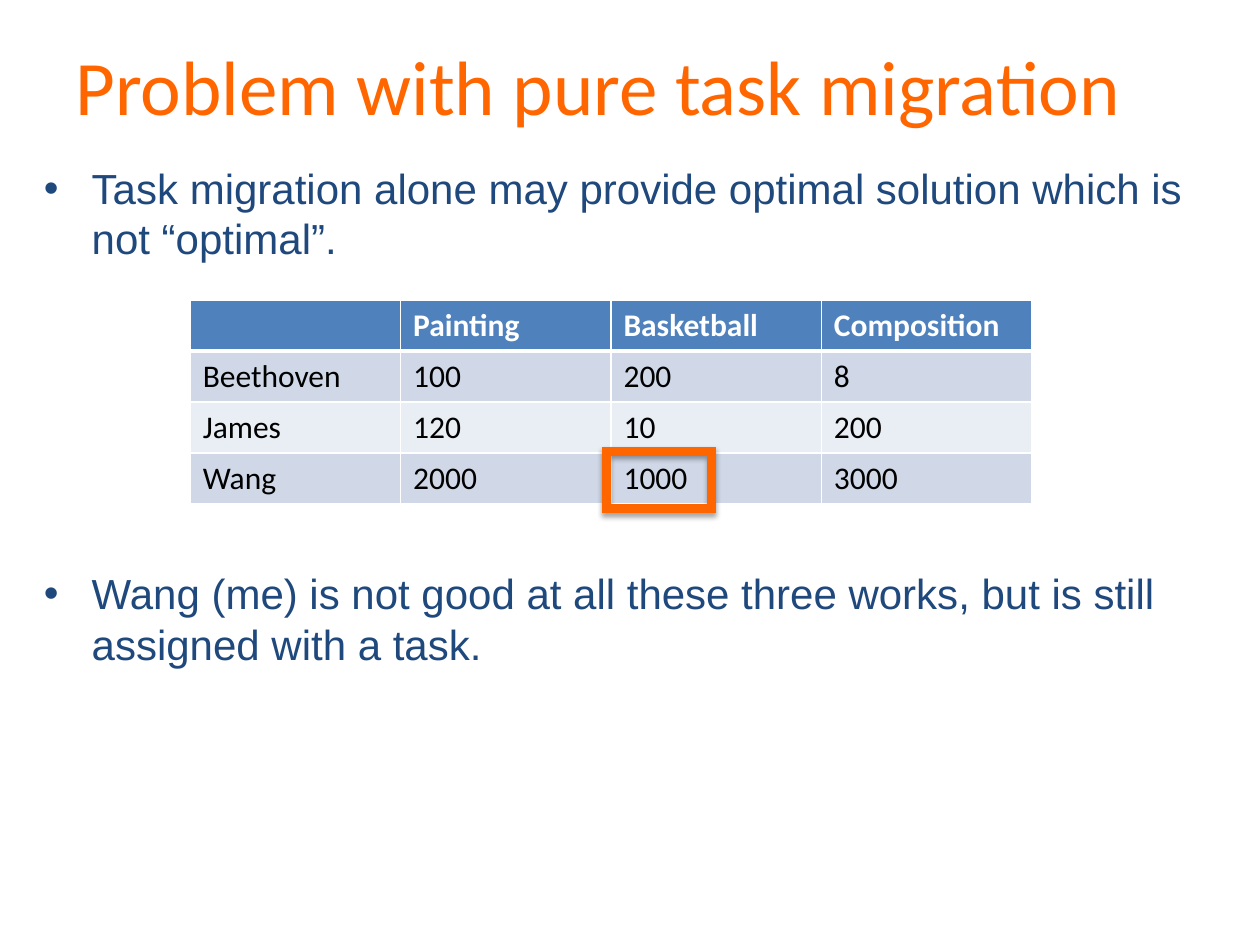
"""Build a slide on the limits of pure task migration, with a cost table."""
from dataclasses import dataclass

from lxml.etree import SubElement
from pptx import Presentation
from pptx.dml.color import RGBColor
from pptx.enum.shapes import MSO_SHAPE as Preset
from pptx.enum.text import MSO_ANCHOR as Anchor
from pptx.oxml import parse_xml
from pptx.oxml.ns import nsdecls, qn
from pptx.util import Emu, Inches, Pt

COLOURS = {
    "accent": "FF6600",
    "body": "1F497D",
    "header": "4F81BD",
    "band": "D0D8E8",
    "light": "E9EDF4",
    "white": "FFFFFF",
    "black": "000000",
}
WIDTH, HEIGHT = Inches(10), Inches(7.5)
INDENT = Inches(0.38)
COLUMN, ROW = Inches(1.67), Inches(0.405)
COSTS = (
    ("", "Painting", "Basketball", "Composition"),
    ("Beethoven", "100", "200", "8"),
    ("James", "120", "10", "200"),
    ("Wang", "2000", "1000", "3000"),
)


@dataclass(frozen=True)
class Area:
    """A place given as shares of the slide's width and height."""
    left: float
    top: float
    width: float
    height: float

    def lengths(self) -> tuple:
        """Return left, top, width and height as slide lengths."""
        return (Emu(int(self.left * WIDTH)), Emu(int(self.top * HEIGHT)),
                Emu(int(self.width * WIDTH)), Emu(int(self.height * HEIGHT)))


@dataclass(frozen=True)
class Style:
    """The look of a run of text."""
    font: str
    size: float
    colour: str
    bold: bool = False


@dataclass(frozen=True)
class Bullet:
    """A bulleted paragraph and the gap above it in points."""
    text: str
    gap: float


TITLE = Style("Calibri", 44, "accent")
BODY = Style("Arial", 24, "body")
HEADING = Style("Calibri", 18, "white", True)
VALUE = Style("Calibri", 18, "black")
BULLETS = (
    Bullet("Task migration alone may provide optimal solution which is not “optimal”.", 0),
    Bullet("Wang (me) is not good at all these three works, but is still assigned with a task.", 174),
)


def colour(name: str) -> RGBColor:
    """Look up a named colour."""
    return RGBColor.from_string(COLOURS[name])


def format_runs(para, style: Style) -> None:
    """Apply a style to every run of a paragraph."""
    for span in para.runs:
        span.font.name = style.font
        span.font.size = Pt(style.size)
        span.font.bold = style.bold
        span.font.color.rgb = colour(style.colour)


def add_box(page, area: Area):
    """Add a wrapping text box and return its text frame."""
    frame = page.shapes.add_textbox(*area.lengths()).text_frame
    frame.word_wrap = True
    return frame


def add_title(page, text: str, area: Area) -> None:
    """Add the slide's title."""
    frame = add_box(page, area)
    frame.vertical_anchor = Anchor.MIDDLE
    frame.text = text
    format_runs(frame.paragraphs[0], TITLE)


def add_bullets(page, bullets: tuple, area: Area) -> None:
    """Add bulleted paragraphs with hanging indents."""
    frame = add_box(page, area)
    for index, bullet in enumerate(bullets):
        para = frame.add_paragraph() if index else frame.paragraphs[0]
        para.text = bullet.text
        para.space_before = Pt(bullet.gap)
        format_runs(para, BODY)
        properties = para._p.get_or_add_pPr()
        properties.set("marL", str(INDENT))
        properties.set("indent", str(-INDENT))
        SubElement(properties, qn("a:buFont"), typeface="Arial")
        SubElement(properties, qn("a:buChar"), char="•")


def add_borders(cell, top: float, bottom: float) -> None:
    """Draw white borders, with the top and bottom widths in points."""
    edges = (("L", 1), ("R", 1), ("T", top), ("B", bottom))
    for index, (edge, points) in enumerate(edges):
        line = parse_xml(
            f'<a:ln{edge} {nsdecls("a")} w="{Pt(points)}"><a:solidFill>'
            f'<a:srgbClr val="{COLOURS["white"]}"/></a:solidFill></a:ln{edge}>')
        cell._tc.get_or_add_tcPr().insert(index, line)


def add_costs(page, left: float, top: float) -> None:
    """Add the cost table at a share of the slide's size."""
    rows, columns = len(COSTS), len(COSTS[0])
    table = page.shapes.add_table(
        rows, columns, Emu(int(left * WIDTH)), Emu(int(top * HEIGHT)),
        columns * COLUMN, rows * ROW).table
    for row, values in enumerate(COSTS):
        fill = "header" if row == 0 else "band" if row % 2 else "light"
        for column, value in enumerate(values):
            cell = table.cell(row, column)
            cell.text = value
            cell.fill.solid()
            cell.fill.fore_color.rgb = colour(fill)
            format_runs(cell.text_frame.paragraphs[0], VALUE if row else HEADING)
            add_borders(cell, 3 if row == 1 else 1, 1 if row else 3)


def add_highlight(page, area: Area) -> None:
    """Frame a table cell with a softly shadowed outline."""
    shape = page.shapes.add_shape(Preset.FRAME, *area.lengths())
    shape.fill.solid()
    shape.fill.fore_color.rgb = colour("accent")
    shape.line.color.rgb = colour("accent")
    shape.line.width = Pt(0.75)
    shape.shadow.inherit = False
    effects = shape._element.spPr.find(qn("a:effectLst"))
    shadow = SubElement(effects, qn("a:outerShdw"), blurRad=str(Pt(3.1)),
                        dist=str(Pt(1.8)), dir="5400000", rotWithShape="0")
    tint = SubElement(shadow, qn("a:srgbClr"), val=COLOURS["black"])
    SubElement(tint, qn("a:alpha"), val="35000")


def main() -> None:
    """Build and save the deck."""
    deck = Presentation()
    deck.slide_width, deck.slide_height = WIDTH, HEIGHT
    page = deck.slides.add_slide(deck.slide_layouts[6])
    add_title(page, "Problem with pure task migration", Area(0.05, 0.05 / 7.5, 0.9, 1.25 / 7.5))
    add_bullets(page, BULLETS, Area(0.025, 1.24 / 7.5, 0.956, 5.43 / 7.5))
    add_costs(page, 0.151, 2.38 / 7.5)
    add_highlight(page, Area(0.478, 3.55 / 7.5, 0.09, 0.52 / 7.5))
    deck.save("out.pptx")


if __name__ == "__main__":
    main()
